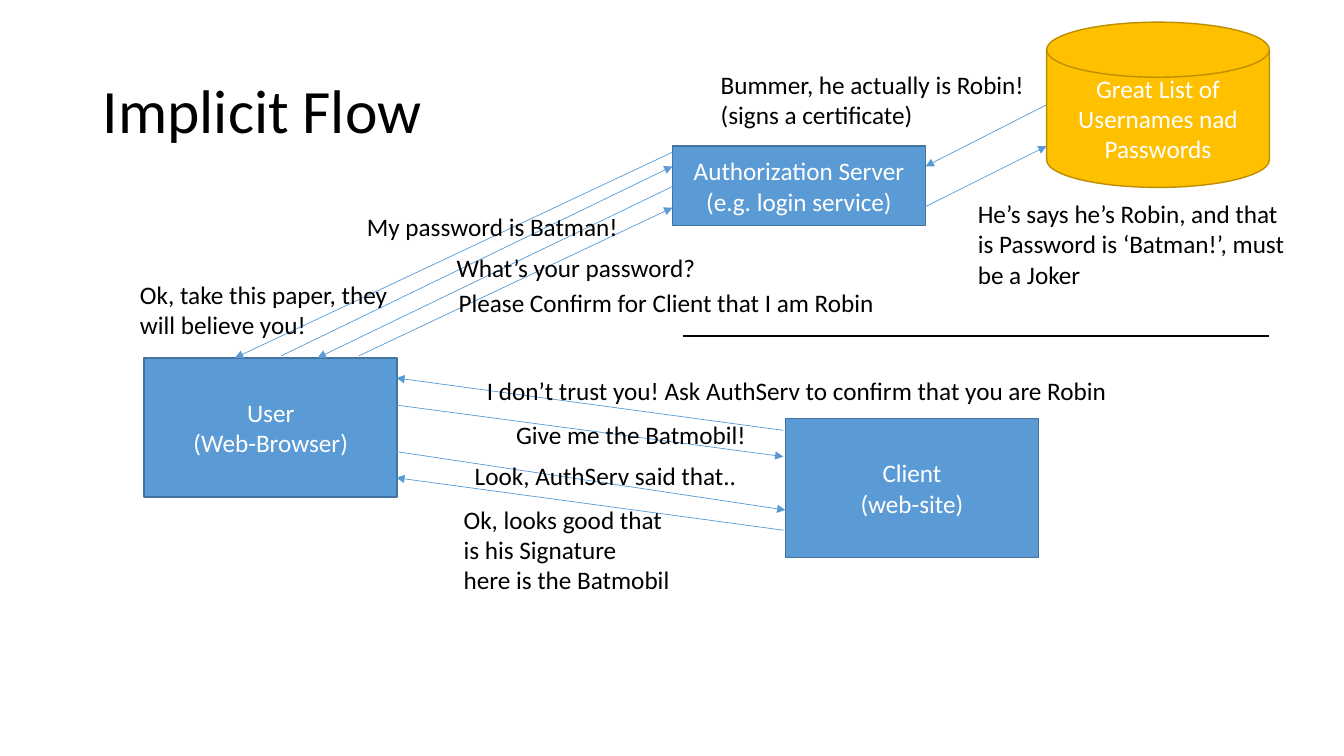
from lxml import etree
from pptx import Presentation
from pptx.dml.color import RGBColor
from pptx.enum.shapes import MSO_CONNECTOR, MSO_SHAPE
from pptx.enum.text import MSO_ANCHOR, MSO_AUTO_SIZE, PP_ALIGN
from pptx.oxml.ns import qn
from pptx.util import Inches, Pt

BLACK = RGBColor(0x00, 0x00, 0x00)
WHITE = RGBColor(0xFF, 0xFF, 0xFF)
BLUE = RGBColor(0x5B, 0x9B, 0xD5)
DARK_BLUE = RGBColor(0x43, 0x73, 0x9E)
GOLD = RGBColor(0xFF, 0xC0, 0x00)
DARK_GOLD = RGBColor(0xBD, 0x8E, 0x00)


def write_lines(text_frame, lines, color, alignment):
    text_frame.text = "\n".join(lines)
    for paragraph in text_frame.paragraphs:
        paragraph.alignment = alignment
        paragraph.font.name = "Calibri"
        paragraph.font.size = Pt(18)
        paragraph.font.color.rgb = color


def add_line(start, end, color, width, arrow):
    points = [Inches(value) for value in (*start, *end)]
    connector = slide.shapes.add_connector(MSO_CONNECTOR.STRAIGHT, *points)
    connector.line.color.rgb = color
    connector.line.width = Pt(width)
    if arrow:
        line = connector.line._get_or_add_ln()
        etree.SubElement(line, qn("a:tailEnd"), type="triangle")
    etree.SubElement(connector._element.spPr, qn("a:effectLst"))


presentation = Presentation()
presentation.slide_width = Inches(13.33)
presentation.slide_height = Inches(7.5)
slide = presentation.slides.add_slide(presentation.slide_layouts[5])

# Title
title = slide.shapes.title
title.left, title.top = Inches(0.92), Inches(0.4)
title.width, title.height = Inches(11.5), Inches(1.45)
title.text_frame.text = "Implicit Flow"
title.text_frame.vertical_anchor = MSO_ANCHOR.MIDDLE
heading = title.text_frame.paragraphs[0]
heading.alignment = PP_ALIGN.LEFT
heading.line_spacing = 0.9
heading.font.name = "Calibri"
heading.font.size = Pt(44)
heading.font.color.rgb = BLACK

# Parties: kind, position and size, fill, outline, lines of text
RECTANGLE, DISK = MSO_SHAPE.RECTANGLE, MSO_SHAPE.FLOWCHART_MAGNETIC_DISK
parties = [
    (RECTANGLE, (1.43, 3.55, 2.51, 1.38), BLUE, DARK_BLUE, ["User", "(Web-Browser)"]),
    (RECTANGLE, (7.79, 4.15, 2.51, 1.38), BLUE, DARK_BLUE, ["Client", "(web-site)"]),
    (RECTANGLE, (6.67, 1.45, 2.51, 0.79), BLUE, DARK_BLUE,
     ["Authorization Server", "(e.g. login service)"]),
    (DISK, (10.38, 0.22, 2.21, 1.64), GOLD, DARK_GOLD,
     ["Great List of Usernames nad Passwords"]),
]
for kind, box, fill, outline, lines in parties:
    shape = slide.shapes.add_shape(kind, *[Inches(value) for value in box])
    shape.shadow.inherit = False
    shape.fill.solid()
    shape.fill.fore_color.rgb = fill
    shape.line.color.rgb = outline
    shape.line.width = Pt(1)
    shape.text_frame.word_wrap = True
    shape.text_frame.vertical_anchor = MSO_ANCHOR.MIDDLE
    write_lines(shape.text_frame, lines, WHITE, PP_ALIGN.CENTER)

# Message arrows
arrows = [
    # User and client
    ((3.94, 4.02), (7.77, 4.53)),
    ((7.77, 4.27), (3.93, 3.75)),
    ((3.93, 4.48), (7.79, 5.06)),
    ((7.77, 5.26), (3.93, 4.74)),
    # User and authorization server
    ((3.56, 3.53), (6.67, 2.06)),
    ((6.67, 1.85), (3.15, 3.55)),
    ((2.79, 3.53), (6.67, 1.65)),
    ((6.67, 1.51), (2.33, 3.55)),
    # Authorization server and user list
    ((9.18, 2.05), (10.38, 1.45)),
    ((10.38, 1.04), (9.18, 1.65)),
]
for start, end in arrows:
    add_line(start, end, BLUE, 0.5, arrow=True)

# Divider
add_line((6.77, 3.33), (12.59, 3.33), BLACK, 1.5, arrow=False)

# Messages: position and size, wrapping, lines of text
messages = [
    ((5.02, 4.11, 2.51, 0.4), False, ["Give me the Batmobil!"]),
    ((4.73, 3.67, 6.48, 0.4), False,
     ["I don’t trust you! Ask AuthServ to confirm that you are Robin"]),
    ((4.45, 2.8, 4.37, 0.4), False, ["Please Confirm for Client that I am Robin"]),
    ((4.43, 2.45, 2.7, 0.4), True, ["What’s your password?"]),
    ((3.54, 2.05, 2.7, 0.4), True, ["My password is Batman!"]),
    ((1.29, 2.72, 2.7, 0.71), True, ["Ok, take this paper, they will believe you!"]),
    ((4.61, 4.52, 2.82, 0.4), False, ["Look, AuthServ said that.."]),
    ((4.5, 4.95, 2.27, 1.01), False,
     ["Ok, looks good that", "is his Signature", "here is the Batmobil"]),
    ((9.6, 1.92, 3.33, 1.01), False,
     ["He’s says he’s Robin, and that", "is Password is ‘Batman!’, must", "be a Joker"]),
    ((7.05, 0.64, 3.24, 0.71), False,
     ["Bummer, he actually is Robin!", "(signs a certificate)"]),
]
for box, wrap, lines in messages:
    message = slide.shapes.add_textbox(*[Inches(value) for value in box])
    message.text_frame.word_wrap = wrap
    message.text_frame.auto_size = MSO_AUTO_SIZE.SHAPE_TO_FIT_TEXT
    write_lines(message.text_frame, lines, BLACK, PP_ALIGN.LEFT)

presentation.save("out.pptx")
